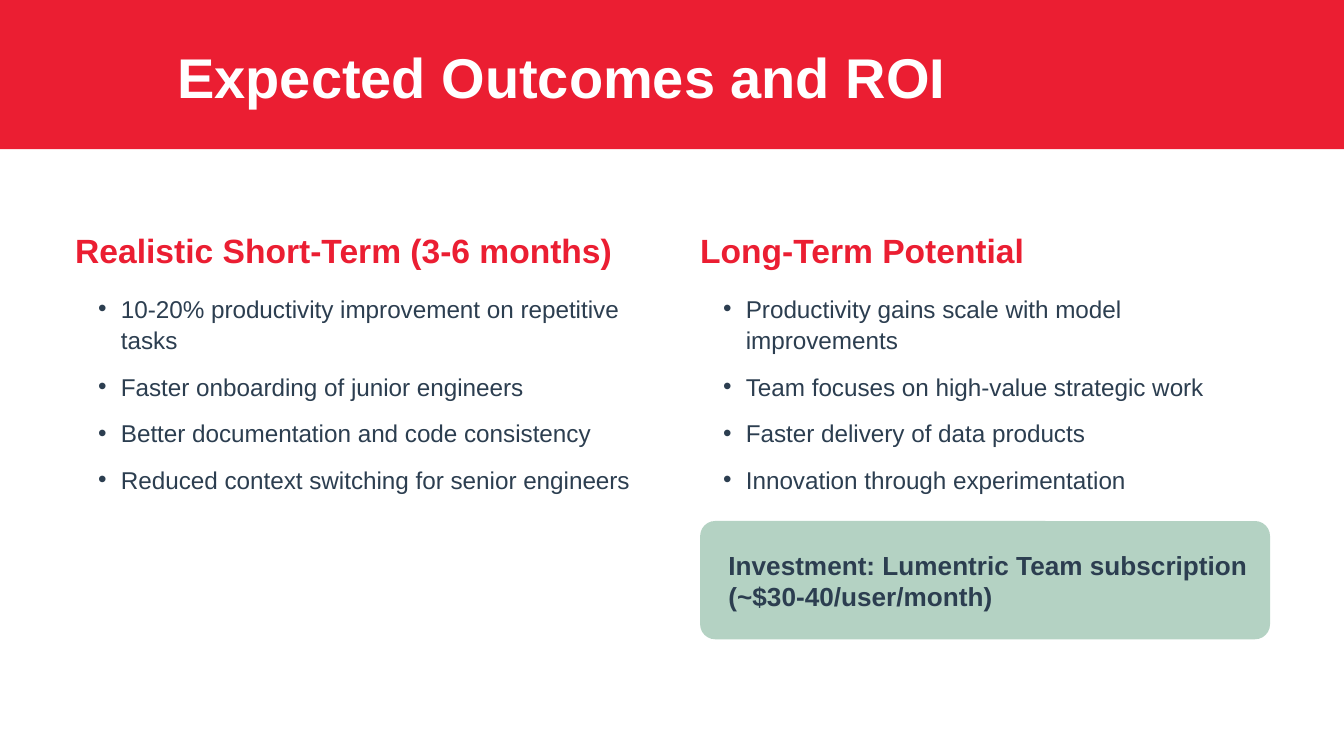
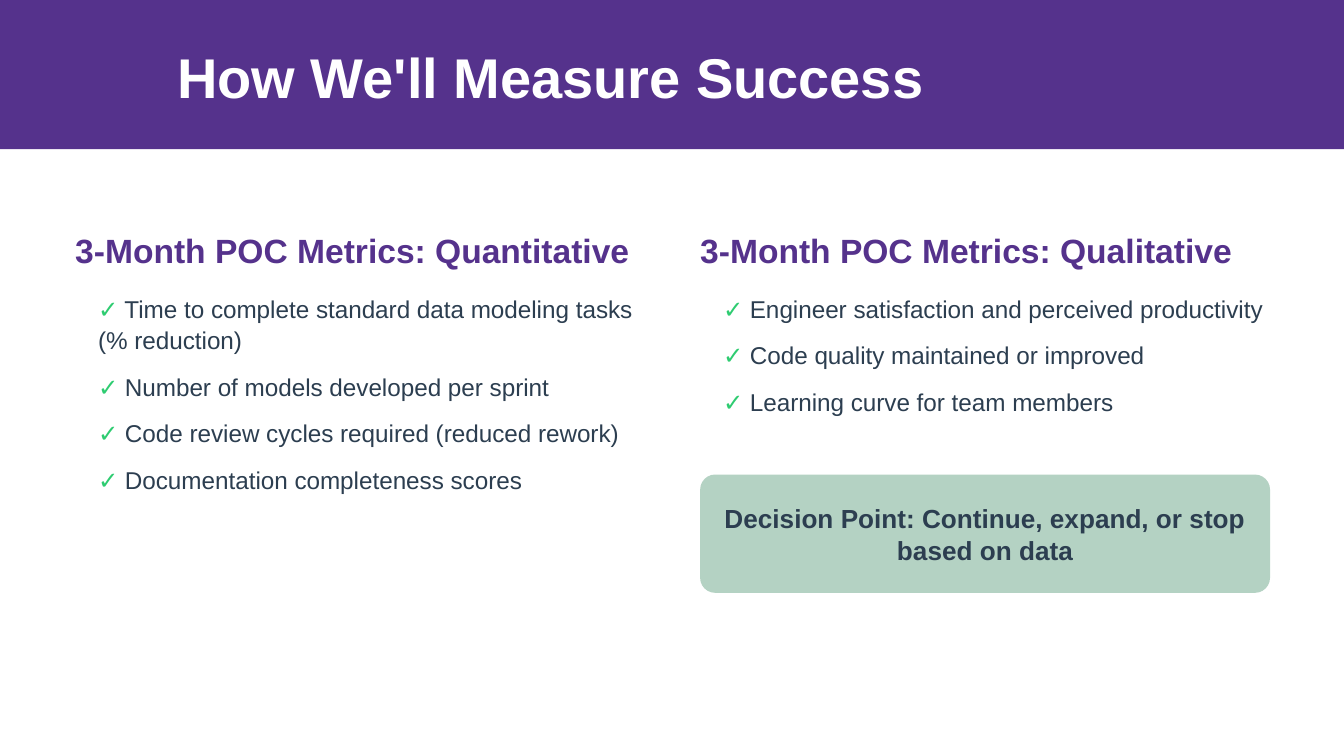
import pptx
import pptx.util
import pptx.oxml.ns
import pptx.dml.color
import pptx.enum.shapes
import pptx.enum.text
import lxml.etree
from dataclasses import dataclass
from pptx.util import Inches, Pt

SLIDES = [
    {
        "title": "Expected Outcomes and ROI",
        "title_width": 5.83,
        "accent": "EB1E32",
        "marker": "•",
        "columns": [
            ("Realistic Short-Term (3-6 months)", 5, [
                "10-20% productivity improvement on repetitive tasks",
                "Faster onboarding of junior engineers",
                "Better documentation and code consistency",
                "Reduced context switching for senior engineers",
            ]),
            ("Long-Term Potential", 5, [
                "Productivity gains scale with model improvements",
                "Team focuses on high-value strategic work",
                "Faster delivery of data products",
                "Innovation through experimentation",
            ]),
        ],
        "callout": "Investment: Lumentric Team subscription (~$30-40/user/month)",
        "callout_inset": 0.21,
        "callout_align": "LEFT",
    },
    {
        "title": "How We'll Measure Success",
        "title_width": 5.67,
        "accent": "55328C",
        "marker": "✓",
        "columns": [
            ("3-Month POC Metrics: Quantitative", 5, [
                "Time to complete standard data modeling tasks (% reduction)",
                "Number of models developed per sprint",
                "Code review cycles required (reduced rework)",
                "Documentation completeness scores",
            ]),
            ("3-Month POC Metrics: Qualitative", 4, [
                "Engineer satisfaction and perceived productivity",
                "Code quality maintained or improved",
                "Learning curve for team members",
            ]),
        ],
        "callout": "Decision Point: Continue, expand, or stop based on data",
        "callout_inset": 0.17,
        "callout_align": "CENTER",
    },
]


@dataclass(frozen=True)
class Theme:
    font: str = "Arial"
    white: str = "FFFFFF"
    ink: str = "2C3E50"
    check: str = "2ECC71"
    callout: str = "B4D2C3"
    title_size: float = 30
    heading_size: float = 18
    body_size: float = 13
    callout_size: float = 14
    line: float = 16.9
    item_gap: float = 8


THEME = Theme()
WIDTH = 10
HEIGHT = WIDTH * 9 / 16
BAND_H = 1.11
COLUMN_LEFTS = (0.56, 5.21)
COLUMN_W, HEADING_W = 4.24, 4.32
HEADING_TOP, HEADING_H = 1.71, 0.29
LIST_TOP, INDENT = 2.17, 0.17
CALLOUT_H, CALLOUT_GAP = 0.88, 0.2
CALLOUT_TEXT_W, CALLOUT_TEXT_H = 3.9, 0.46


def rgb(color):
    return pptx.dml.color.RGBColor.from_string(color)


def style(r, size, color, bold=False):
    r.font.name = THEME.font
    r.font.size = Pt(size)
    r.font.bold = bold
    r.font.color.rgb = rgb(color)


def add_block(slide, kind, left, top, width, height, color):
    sp = slide.shapes.add_shape(kind, Inches(left), Inches(top), Inches(width), Inches(height))
    sp.shadow.inherit = False
    sp.fill.solid()
    sp.fill.fore_color.rgb = rgb(color)
    sp.line.fill.background()
    return sp


def add_frame(slide, left, top, width, height, inset=0):
    box = slide.shapes.add_textbox(Inches(left), Inches(top), Inches(width), Inches(height))
    tf = box.text_frame
    tf.word_wrap = True
    tf.margin_left = Inches(inset)
    tf.margin_top = tf.margin_right = tf.margin_bottom = 0
    return tf


def add_label(slide, text, left, top, width, height, size, color, align="LEFT"):
    tf = add_frame(slide, left, top, width, height)
    tf.text = text
    p = tf.paragraphs[0]
    p.alignment = pptx.enum.text.PP_ALIGN[align]
    style(p.runs[0], size, color, bold=True)
    return p


def add_bullet(p, char):
    """Give the paragraph a hanging bullet in the theme font."""
    pPr = p._p.get_or_add_pPr()
    pPr.set("marL", str(Inches(INDENT)))
    pPr.set("indent", str(-Inches(INDENT)))
    for tag, key, value in (("a:buFont", "typeface", THEME.font), ("a:buChar", "char", char)):
        lxml.etree.SubElement(pPr, pptx.oxml.ns.qn(tag)).set(key, value)


def add_list(slide, left, height, items, marker):
    tf = add_frame(slide, left, LIST_TOP, COLUMN_W, height, INDENT)
    for i, item in enumerate(items):
        p = tf.paragraphs[0] if i == 0 else tf.add_paragraph()
        p.line_spacing = Pt(THEME.line)
        p.space_after = Pt(THEME.item_gap)
        if marker == "✓":
            p.text = marker
            style(p.runs[0], THEME.body_size, THEME.check, bold=True)
            r = p.add_run()
            r.text = " " + item
        else:
            p.text = item
            r = p.runs[0]
            add_bullet(p, marker)
        style(r, THEME.body_size, THEME.ink)


def list_height(lines, items):
    return (lines * THEME.line + (len(items) - 1) * THEME.item_gap) / 72


def add_callout(slide, content, left, top):
    sp = add_block(slide, pptx.enum.shapes.MSO_SHAPE.ROUNDED_RECTANGLE,
                   left, top, COLUMN_W, CALLOUT_H, THEME.callout)
    sp.adjustments[0] = 0.127
    add_label(slide, content["callout"], left + content["callout_inset"],
              top + (CALLOUT_H - CALLOUT_TEXT_H) / 2, CALLOUT_TEXT_W, CALLOUT_TEXT_H,
              THEME.callout_size, THEME.ink, content["callout_align"])


def build_slide(prs, content):
    slide = prs.slides.add_slide(prs.slide_layouts[6])
    accent = content["accent"]
    add_block(slide, pptx.enum.shapes.MSO_SHAPE.RECTANGLE, 0, 0, WIDTH, BAND_H, accent)
    add_label(slide, content["title"], 1.32, 0.32, content["title_width"], 0.47,
              THEME.title_size, THEME.white)
    for left, (heading, lines, items) in zip(COLUMN_LEFTS, content["columns"]):
        p = add_label(slide, heading, left, HEADING_TOP, HEADING_W, HEADING_H,
                      THEME.heading_size, accent)
        p.space_before, p.space_after = Pt(18), Pt(12)
        height = list_height(lines, items)
        add_list(slide, left, height, items, content["marker"])
    add_callout(slide, content, left, LIST_TOP + height + CALLOUT_GAP)


def main():
    prs = pptx.Presentation()
    prs.slide_width, prs.slide_height = Inches(WIDTH), Inches(HEIGHT)
    for content in SLIDES:
        build_slide(prs, content)
    prs.save("out.pptx")


if __name__ == "__main__":
    main()
